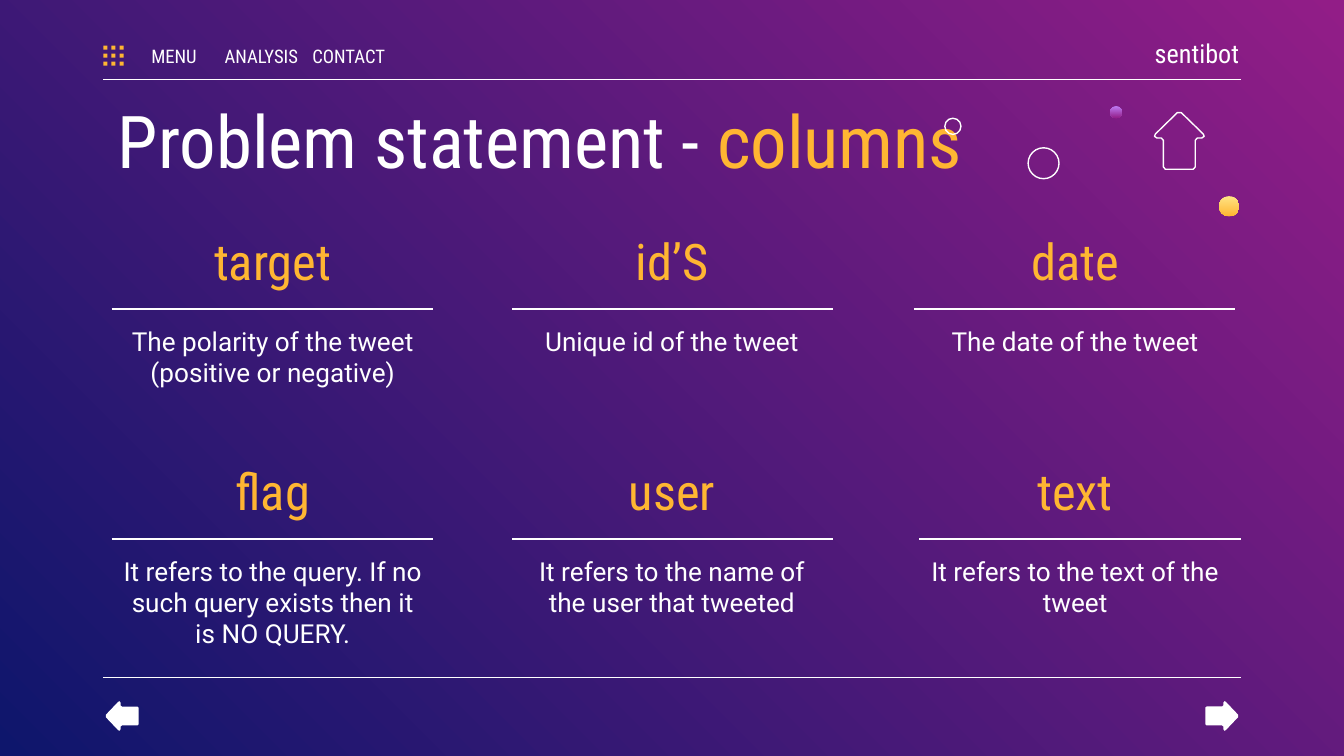
from dataclasses import dataclass
from itertools import product

from lxml import etree
from pptx import Presentation
from pptx import util as u
from pptx.dml.color import RGBColor
from pptx.enum import shapes, text
from pptx.oxml.ns import qn

WHITE, AMBER, PLUM, NAVY = "FFFFFF", "FFB632", "921D87", "0E166C"
CONDENSED = "Roboto Condensed"
LEFT, RIGHT = 0.77, 9.23
THIN = u.Pt(0.75)
ARROW_RIGHT_HALF = [(54, 2), (98, 39), (100, 43), (95, 46), (86, 46),
                    (82, 50), (82, 96), (78, 100)]
ARROW = ARROW_RIGHT_HALF + [(100 - x, y) for x, y in reversed(ARROW_RIGHT_HALF)]


@dataclass
class Field:
    name: str
    meaning: str
    left: float
    top: float
    rule_left: float


@dataclass
class Bubble:
    left: float
    top: float
    size: float
    gradient: tuple[str, str] | None = None


FIELDS = [
    Field("target", "The polarity of the tweet (positive or negative)", 0.81, 1.61, 0.83),
    Field("id’S", "Unique id of the tweet", 3.78, 1.61, 3.81),
    Field("date", "The date of the tweet", 6.78, 1.61, 6.8),
    Field("flag", "It refers to the query. If no such query exists then it is NO QUERY.",
          0.81, 3.32, 0.83),
    Field("user", "It refers to the name of the user that tweeted", 3.78, 3.32, 3.81),
    Field("text", "It refers to the text of the tweet", 6.78, 3.32, 6.84),
]
BUBBLES = [
    Bubble(7.65, 1.1, 0.23),
    Bubble(7.03, 0.88, 0.12),
    Bubble(8.26, 0.79, 0.09, ("BE7AF3", PLUM)),
    Bubble(9.07, 1.46, 0.15, ("FFE485", AMBER)),
]


def rgb(value: str) -> RGBColor:
    return RGBColor.from_string(value)


def paint_gradient(fill, colours: tuple[str, str], angle: float) -> None:
    fill.gradient()
    fill.gradient_angle = angle
    for stop, colour in zip(fill.gradient_stops, colours):
        stop.color.rgb = rgb(colour)


def style(shape, fill: str | None = None, line: str | None = None) -> None:
    shape.shadow.inherit = False
    if fill:
        shape.fill.solid()
        shape.fill.fore_color.rgb = rgb(fill)
    else:
        shape.fill.background()
    if line:
        shape.line.color.rgb = rgb(line)
        shape.line.width = THIN
    else:
        shape.line.fill.background()


def add_text(slide, content: str, left: float, top: float, width: float, height: float, *,
             size: float, colour: str = WHITE, font: str = CONDENSED,
             align=text.PP_ALIGN.CENTER, anchor=text.MSO_ANCHOR.TOP,
             inset_left: float = 0.1, inset_right: float = 0.1,
             accent: str = "") -> None:
    frame = slide.shapes.add_textbox(*map(u.Inches, (left, top, width, height))).text_frame
    frame.word_wrap = True
    frame.vertical_anchor = anchor
    frame.margin_left, frame.margin_right = u.Inches(inset_left), u.Inches(inset_right)
    frame.margin_top = frame.margin_bottom = u.Inches(0.1)
    paragraph = frame.paragraphs[0]
    paragraph.alignment = align
    for words, shade in ((content, colour), (accent, AMBER)):
        if words:
            run = paragraph.add_run()
            run.text = words
            run.font.size = u.Pt(size)
            run.font.name = font
            run.font.color.rgb = rgb(shade)


def add_rule(slide, left: float, right: float, y: float) -> None:
    rule = slide.shapes.add_connector(
        shapes.MSO_CONNECTOR.STRAIGHT, *map(u.Inches, (left, y, right, y)))
    rule.line.color.rgb = rgb(WHITE)
    rule.line.width = THIN
    etree.SubElement(rule._element.spPr, qn("a:effectLst"))


def add_arrow(slide, left: float, top: float, width: float, height: float, *,
              rotation: float = 0, fill: str | None = None, line: str | None = None) -> None:
    builder = slide.shapes.build_freeform(
        *ARROW[0], scale=(u.Inches(width) / 100, u.Inches(height) / 100))
    builder.add_line_segments(ARROW[1:], close=True)
    arrow = builder.convert_to_shape(u.Inches(left), u.Inches(top))
    arrow.rotation = rotation
    style(arrow, fill, line)


def add_field(slide, field: Field) -> None:
    add_text(slide, field.name, field.left, field.top, 2.44, 0.48, size=27, colour=AMBER)
    add_text(slide, field.meaning, field.left, field.top + 0.71, 2.44, 0.66,
             size=14, font="Roboto")
    add_rule(slide, field.rule_left, field.rule_left + 2.39, field.top + 0.69)


def add_bubble(slide, bubble: Bubble) -> None:
    oval = slide.shapes.add_shape(
        shapes.MSO_SHAPE.OVAL,
        *map(u.Inches, (bubble.left, bubble.top, bubble.size, bubble.size)))
    style(oval, line=None if bubble.gradient else WHITE)
    if bubble.gradient:
        paint_gradient(oval.fill, bubble.gradient, 270)


def add_menu(slide) -> None:
    for column, row in product(range(3), repeat=2):
        dot = slide.shapes.add_shape(
            shapes.MSO_SHAPE.RECTANGLE,
            *map(u.Inches, (LEFT + column * 0.06, 0.34 + row * 0.06, 0.03, 0.03)))
        style(dot, AMBER)
    for index, label in enumerate(("MENU", "ANALYSIS", "CONTACT")):
        add_text(slide, label, 1.01 + index * 0.65, 0.3, 0.57, 0.23, size=10,
                 anchor=text.MSO_ANCHOR.MIDDLE, inset_left=0, inset_right=0)
    add_text(slide, "sentibot", 7.72, 0.23, 1.5, 0.33, size=14,
             align=text.PP_ALIGN.RIGHT, anchor=text.MSO_ANCHOR.MIDDLE, inset_right=0)


def main() -> None:
    deck = Presentation()
    deck.slide_width = u.Inches(10)
    deck.slide_height = deck.slide_width * 9 // 16
    slide = deck.slides.add_slide(deck.slide_layouts[6])
    paint_gradient(slide.background.fill, (PLUM, NAVY), 225)

    for y in (0.59, 5.04):
        add_rule(slide, LEFT, RIGHT, y)
    add_text(slide, "Problem statement - ", 0.78, 0.61, 8.44, 0.66, size=39,
             align=text.PP_ALIGN.LEFT, accent="columns")
    for field in FIELDS:
        add_field(slide, field)
    for left, rotation in ((8.98, 90), (0.8, 270)):
        add_arrow(slide, left, 5.2, 0.22, 0.25, rotation=rotation, fill=WHITE)
    add_menu(slide)
    add_arrow(slide, 8.59, 0.83, 0.37, 0.43, line=WHITE)
    for bubble in BUBBLES:
        add_bubble(slide, bubble)

    deck.save("out.pptx")


if __name__ == "__main__":
    main()
